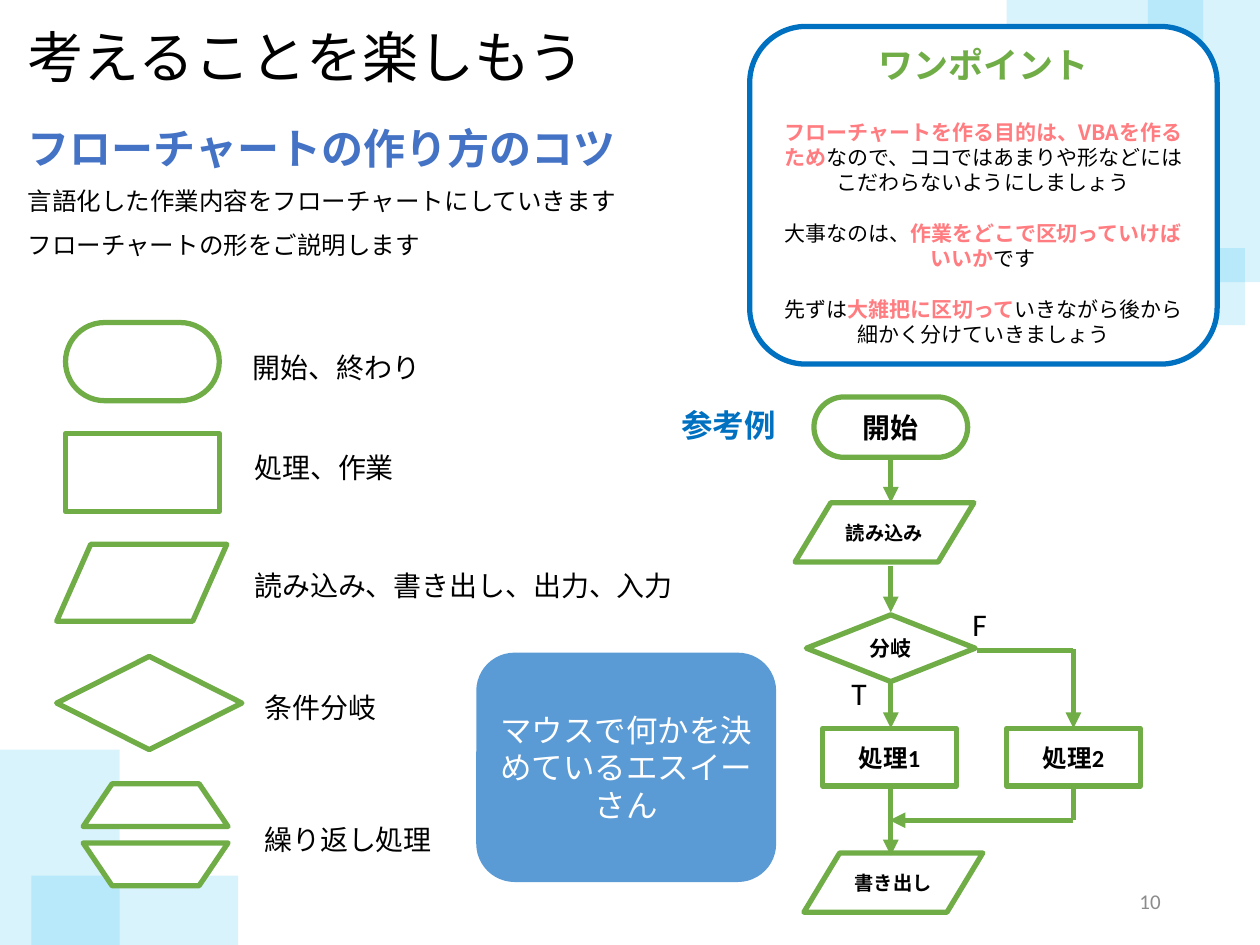
import pptx
import pptx.util
import pptx.dml.color
import pptx.enum.shapes
import pptx.enum.text
import pptx.oxml.ns
import lxml.etree

Inches = pptx.util.Inches
Pt = pptx.util.Pt
RGBColor = pptx.dml.color.RGBColor
Shape = pptx.enum.shapes.MSO_SHAPE
Align = pptx.enum.text.PP_ALIGN
Anchor = pptx.enum.text.MSO_ANCHOR
qn = pptx.oxml.ns.qn

SKY = RGBColor(0x00, 0xB0, 0xF0)
GREEN = RGBColor(0x70, 0xAD, 0x47)
BLUE = RGBColor(0x00, 0x70, 0xC0)
HEADING = RGBColor(0x44, 0x72, 0xC4)
PANEL = RGBColor(0x5B, 0x9B, 0xD5)
PINK = RGBColor(0xFF, 0x7C, 0x80)
GRAY = RGBColor(0x8C, 0x8C, 0x8C)
BLACK = RGBColor(0, 0, 0)
WHITE = RGBColor(0xFF, 0xFF, 0xFF)
JAPANESE = "Noto Sans CJK JP"
LATIN = "Calibri"

presentation = pptx.Presentation()
presentation.slide_width = Inches(10)
presentation.slide_height = Inches(7.5)
slide = presentation.slides.add_slide(presentation.slide_layouts[5])


def add_box(kind, left, top, width, height, fill=WHITE, line=GREEN):
    shape = slide.shapes.add_shape(
        kind, Inches(left), Inches(top), Inches(width), Inches(height))
    shape.shadow.inherit = False
    shape.fill.solid()
    shape.fill.fore_color.rgb = fill
    if line is None:
        shape.line.fill.background()
    else:
        shape.line.color.rgb = line
        shape.line.width = Pt(3)
    return shape


def set_paragraph(paragraph, text, size, color=BLACK, bold=False,
                  name=JAPANESE, align=Align.LEFT, spacing=1.0):
    paragraph.text = text
    paragraph.alignment = align
    paragraph.line_spacing = spacing
    paragraph.font.size = Pt(size)
    paragraph.font.name = name
    paragraph.font.bold = bold
    paragraph.font.color.rgb = color


for left, top, width, height in [
    (8.53, 1.97, 1.35, 0.61),
    (9.11, 0, 0.89, 2.24),
    (7.99, 0, 1.56, 0.73),
    (0, 5.95, 0.95, 1.55),
    (0.25, 6.95, 1.64, 0.55),
]:
    shape = add_box(Shape.RECTANGLE, left, top, width, height, SKY, None)
    color = shape.fill._xPr.find(qn("a:solidFill"))[0]
    lxml.etree.SubElement(color, qn("a:alpha"), val="15000")

title = slide.shapes.title
title.left, title.top = Inches(0.12), Inches(0.13)
title.width, title.height = Inches(6.37), Inches(0.64)
title.text_frame.auto_size = pptx.enum.text.MSO_AUTO_SIZE.NONE
title.text_frame.vertical_anchor = Anchor.TOP
set_paragraph(title.text_frame.paragraphs[0], "考えることを楽しもう", 32)

for kind, left, top, width, height in [
    (Shape.ROUNDED_RECTANGLE, 0.52, 2.56, 1.22, 0.62),
    (Shape.RECTANGLE, 0.52, 3.44, 1.22, 0.62),
    (Shape.FLOWCHART_DATA, 0.45, 4.32, 1.35, 0.61),
    (Shape.DIAMOND, 0.45, 5.21, 1.47, 0.74),
    (Shape.FLOWCHART_MANUAL_OPERATION, 0.66, 6.22, 1.15, 0.34),
    (Shape.FLOWCHART_MANUAL_OPERATION, 0.66, 6.69, 1.15, 0.34),
]:
    symbol = add_box(kind, left, top, width, height)
    if kind == Shape.ROUNDED_RECTANGLE:
        symbol.adjustments[0] = 0.5
    if top == 6.22:
        symbol.rotation = 180

tip = add_box(Shape.ROUNDED_RECTANGLE, 5.95, 0.21, 3.71, 2.68, line=BLUE)
tip.text_frame.vertical_anchor = Anchor.MIDDLE
set_paragraph(tip.text_frame.paragraphs[0], "ワンポイント", 20, GREEN, True,
              align=Align.CENTER)
for gap, plain_start, emphasis, plain_end in [
    (19.5, "", "フローチャートを作る目的は、VBAを作るため",
     "なので、ココではあまりや形などにはこだわらないようにしましょう"),
    (14.6, "大事なのは、", "作業をどこで区切っていけばいいか", "です"),
    (14.6, "先ずは", "大雑把に区切って", "いきながら後から細かく分けていきましょう"),
]:
    paragraph = tip.text_frame.add_paragraph()
    set_paragraph(paragraph, "", 12, align=Align.CENTER)
    paragraph.space_before = Pt(gap)
    for text, strong in [(plain_start, False), (emphasis, True), (plain_end, False)]:
        if text:
            run = paragraph.add_run()
            run.text = text
            run.font.size = Pt(12)
            run.font.name = JAPANESE
            run.font.bold = strong
            run.font.color.rgb = PINK if strong else BLACK

panel = add_box(Shape.ROUNDED_RECTANGLE, 3.78, 5.18, 2.38, 1.82, PANEL, None)
panel.text_frame.vertical_anchor = Anchor.MIDDLE
set_paragraph(panel.text_frame.paragraphs[0], "マウスで何かを決めているエスイーさん",
              18, WHITE, align=Align.CENTER)

for kind, left, top, width, height, text, size in [
    (Shape.ROUNDED_RECTANGLE, 6.46, 3.15, 1.22, 0.48, "開始", 16),
    (Shape.FLOWCHART_DATA, 6.31, 3.99, 1.42, 0.47, "読み込み", 11),
    (Shape.DIAMOND, 6.4, 4.88, 1.34, 0.53, "分岐", 12),
    (Shape.RECTANGLE, 6.53, 5.78, 1.06, 0.46, "処理1", 14),
    (Shape.RECTANGLE, 7.99, 5.78, 1.06, 0.46, "処理2", 14),
    (Shape.FLOWCHART_DATA, 6.38, 6.77, 1.42, 0.47, "書き出し", 11),
]:
    step = add_box(kind, left, top, width, height)
    if kind == Shape.ROUNDED_RECTANGLE:
        step.adjustments[0] = 0.5
    step.text_frame.vertical_anchor = Anchor.MIDDLE
    set_paragraph(step.text_frame.paragraphs[0], text, size, bold=True,
                  name=LATIN, align=Align.CENTER)

for start_x, start_y, end_x, end_y, arrow in [
    (7.07, 3.62, 7.07, 3.99, True),
    (7.07, 4.49, 7.07, 4.86, True),
    (7.07, 5.4, 7.07, 5.78, True),
    (7.07, 6.24, 7.07, 6.79, True),
    (7.75, 5.16, 8.52, 5.16, False),
    (8.52, 5.15, 8.52, 5.78, True),
    (8.52, 6.51, 8.52, 6.24, False),
    (8.52, 6.51, 7.06, 6.51, True),
]:
    connector = slide.shapes.add_connector(
        pptx.enum.shapes.MSO_CONNECTOR.STRAIGHT,
        Inches(start_x), Inches(start_y), Inches(end_x), Inches(end_y))
    connector.line.color.rgb = GREEN
    connector.line.width = Pt(3)
    if arrow:
        lxml.etree.SubElement(connector.line._get_or_add_ln(), qn("a:tailEnd"), type="triangle")
    lxml.etree.SubElement(connector._element.spPr, qn("a:effectLst"))

for left, top, width, height, lines, size, color, bold, name, align, spacing in [
    (0.12, 0.72, 5.5, 0.66, ["フローチャートの作り方のコツ"], 24, HEADING, True, JAPANESE, Align.LEFT, 1.5),
    (0.12, 1.31, 5.2, 0.78,
     ["言語化した作業内容をフローチャートにしていきます", "フローチャートの形をご説明します"],
     14, BLACK, False, JAPANESE, Align.LEFT, 1.5),
    (1.91, 2.6, 2.54, 0.47, ["開始、終わり"], 16, BLACK, False, JAPANESE, Align.LEFT, 1.5),
    (1.92, 3.39, 3.89, 0.47, ["処理、作業"], 16, BLACK, False, JAPANESE, Align.LEFT, 1.5),
    (1.92, 4.33, 3.89, 0.47, ["読み込み、書き出し、出力、入力"], 16, BLACK, False, JAPANESE, Align.LEFT, 1.5),
    (2, 5.3, 3.89, 0.47, ["条件分岐"], 16, BLACK, False, JAPANESE, Align.LEFT, 1.5),
    (2, 6.35, 3.89, 0.47, ["繰り返し処理"], 16, BLACK, False, JAPANESE, Align.LEFT, 1.5),
    (5.31, 3.02, 2.37, 0.52, ["参考例"], 18, BLUE, True, JAPANESE, Align.LEFT, 1.5),
    (6.66, 5.3, 0.44, 0.4, ["T"], 18, BLACK, False, LATIN, Align.LEFT, 1.0),
    (7.62, 4.75, 0.44, 0.4, ["F"], 18, BLACK, False, LATIN, Align.LEFT, 1.0),
    (7.06, 6.95, 2.25, 0.4, ["10"], 12, GRAY, False, LATIN, Align.RIGHT, 1.0),
]:
    label = slide.shapes.add_textbox(Inches(left), Inches(top), Inches(width), Inches(height))
    frame = label.text_frame
    frame.word_wrap = True
    if align == Align.RIGHT:
        frame.vertical_anchor = Anchor.MIDDLE
    for index, text in enumerate(lines):
        paragraph = frame.add_paragraph() if index else frame.paragraphs[0]
        set_paragraph(paragraph, text, size, color, bold, name, align, spacing)

presentation.save("out.pptx")
